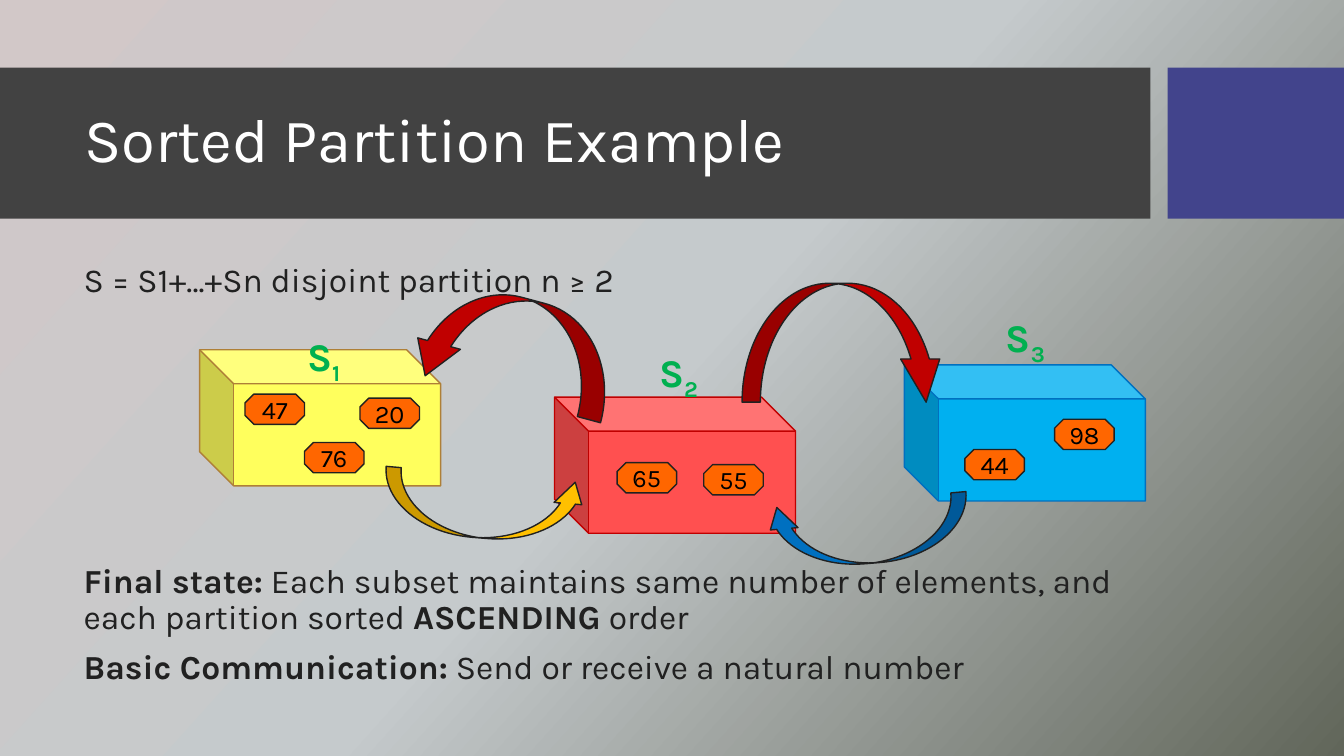
from copy import deepcopy

from pptx import Presentation
from pptx.dml.color import RGBColor
from pptx.enum.shapes import MSO_SHAPE
from pptx.enum.text import MSO_ANCHOR, PP_ALIGN
from pptx.oxml.ns import qn
from pptx.util import Inches, Pt

RECTANGLE = MSO_SHAPE.RECTANGLE
CUBE = MSO_SHAPE.CUBE
OCTAGON = MSO_SHAPE.OCTAGON
CURVED_ARROW = MSO_SHAPE.CURVED_DOWN_ARROW
MIDDLE, TOP = MSO_ANCHOR.MIDDLE, MSO_ANCHOR.TOP
LEFT, CENTER = PP_ALIGN.LEFT, PP_ALIGN.CENTER

FONT = "Karla"
COLORS = {
    "haze": "D2C8C8", "mist": "C5CACC", "moss": "61665A",
    "band": "424242", "accent": "42448C",
    "white": "FFFFFF", "black": "000000", "ink": "212121",
    "yellow": "FFFF5D", "brown": "AE7F37",
    "coral": "FF5050", "red": "C00000",
    "sky": "00B0F0", "blue": "0070C0",
    "orange": "FF6600", "gold": "FFC000", "green": "00B050",
}
BACKGROUND_STOPS = [("haze", 0), ("mist", 0.5), ("moss", 1)]
WIDE_HEAD = (0.238, 0.438, 0.344)
SLIM_HEAD = (0.154, 0.329, 0.363)

# name, box left and top, fill, line, label left and top, numbers with left and top
SUBSETS = [
    ("3", 8.97, 3.62, "sky", "blue", 9.69, 3.06,
     [("44", 9.57, 4.46), ("98", 10.46, 4.16)]),
    ("2", 5.5, 3.94, "coral", "red", 6.25, 3.41,
     [("55", 6.98, 4.61), ("65", 6.12, 4.59)]),
    ("1", 1.98, 3.47, "yellow", "brown", 2.73, 3.25,
     [("20", 3.57, 3.95), ("76", 3.02, 4.39), ("47", 2.43, 3.91)]),
]

# left, top, height, fill, rotation, flipped, adjustments
ARROWS = [
    (7.36, 2.81, 1.18, "red", 0, False, SLIM_HEAD),
    (4.1, 2.95, 1, "red", 15, True, WIDE_HEAD),
    (3.8, 4.71, 0.63, "gold", 184.8, True, WIDE_HEAD),
    (7.59, 4.96, 0.63, "blue", 175.2, False, WIDE_HEAD),
]


def rgb(name):
    return RGBColor.from_string(COLORS[name])


def write(frame, paragraphs, size, color, align=LEFT, anchor=TOP,
          line_spacing=None, space_before=0, wrap=True):
    """Fill a text frame; each paragraph is a list of (text, font attributes)."""
    frame.word_wrap = wrap
    frame.vertical_anchor = anchor
    for index, runs in enumerate(paragraphs):
        paragraph = frame.paragraphs[0] if index == 0 else frame.add_paragraph()
        paragraph.alignment = align
        paragraph.line_spacing = line_spacing
        paragraph.space_before = Pt(space_before)
        for text, attributes in runs:
            run = paragraph.add_run()
            run.text = text
            run.font.name = FONT
            run.font.size = Pt(size)
            run.font.color.rgb = rgb(color)
            for key, value in attributes.items():
                run.font._element.set(key, value)


class PartitionSlide:
    def __init__(self, presentation):
        self.slide = presentation.slides.add_slide(presentation.slide_layouts[6])

    def background(self, stops, angle):
        fill = self.slide.background.fill
        fill.gradient()
        fill.gradient_angle = 360 - angle
        stop_list = self.slide.element.find(".//" + qn("a:gsLst"))
        stop_list.append(deepcopy(stop_list[-1]))
        for stop, (color, position) in zip(fill.gradient_stops, stops):
            stop.color.rgb = rgb(color)
            stop.position = position

    def shape(self, kind, left, top, width, height, fill, line=None,
              flip=False, rotation=0, adjustments=()):
        shape = self.slide.shapes.add_shape(
            kind, Inches(left), Inches(top), Inches(width), Inches(height))
        shape.shadow.inherit = False
        shape.fill.solid()
        shape.fill.fore_color.rgb = rgb(fill)
        if line:
            shape.line.color.rgb = rgb(line)
            shape.line.width = Pt(1)
        else:
            shape.line.fill.background()
        shape.rotation = rotation
        if flip:
            shape.element.spPr.find(qn("a:xfrm")).set("flipH", "1")
        for index, value in enumerate(adjustments):
            shape.adjustments[index] = value
        return shape

    def text(self, left, top, width, height, paragraphs, **style):
        box = self.slide.shapes.add_textbox(
            Inches(left), Inches(top), Inches(width), Inches(height))
        write(box.text_frame, paragraphs, **style)

    def number(self, value, left, top):
        shape = self.shape(OCTAGON, left, top, 0.59, 0.3, "orange", "ink")
        frame = shape.text_frame
        frame.margin_left = frame.margin_right = 0
        frame.margin_top = frame.margin_bottom = 0
        write(frame, [[(value, {})]], size=18, color="black",
              align=CENTER, anchor=MIDDLE, wrap=False)

    def subset_label(self, name, left, top):
        runs = [("S", {"b": "1"}), (name, {"b": "1", "baseline": "-25000"})]
        self.text(left, top, 0.96, 0.57, [runs], size=28, color="green", align=CENTER)


def main():
    presentation = Presentation()
    presentation.slide_width = Inches(13.33)
    presentation.slide_height = Inches(7.5)
    page = PartitionSlide(presentation)

    page.background(BACKGROUND_STOPS, 42)
    page.shape(RECTANGLE, 0, 0.67, 11.41, 1.5, "band")
    page.shape(RECTANGLE, 11.58, 0.67, 1.75, 1.5, "accent")
    page.text(0.74, 0.82, 10.51, 1.18, [[("Sorted Partition Example", {})]],
              size=44, color="white", anchor=MIDDLE, line_spacing=0.9)

    body = {"size": 24, "color": "ink", "line_spacing": 0.9, "space_before": 10}
    bold = {"b": "1"}
    page.text(0.73, 2.56, 10.51, 0.5,
              [[("S = S1+…+Sn disjoint partition n ≥ 2", {})]], **body)
    page.text(0.73, 5.55, 10.51, 1.7, [
        [("Final state:", bold),
         (" Each subset maintains same number of elements, and each partition sorted ", {}),
         ("ASCENDING", bold), (" order", {})],
        [("Basic Communication:", bold), (" Send or receive a natural number", {})],
    ], **body)

    for name, left, top, fill, line, label_left, label_top, numbers in SUBSETS:
        page.shape(CUBE, left, top, 2.39, 1.35, fill, line, flip=True)
        for number in numbers:
            page.number(*number)
        page.subset_label(name, label_left, label_top)

    for left, top, height, fill, rotation, flip, adjustments in ARROWS:
        page.shape(CURVED_ARROW, left, top, 2.02, height, fill, "ink",
                   flip=flip, rotation=rotation, adjustments=adjustments)

    presentation.save("out.pptx")


if __name__ == "__main__":
    main()
